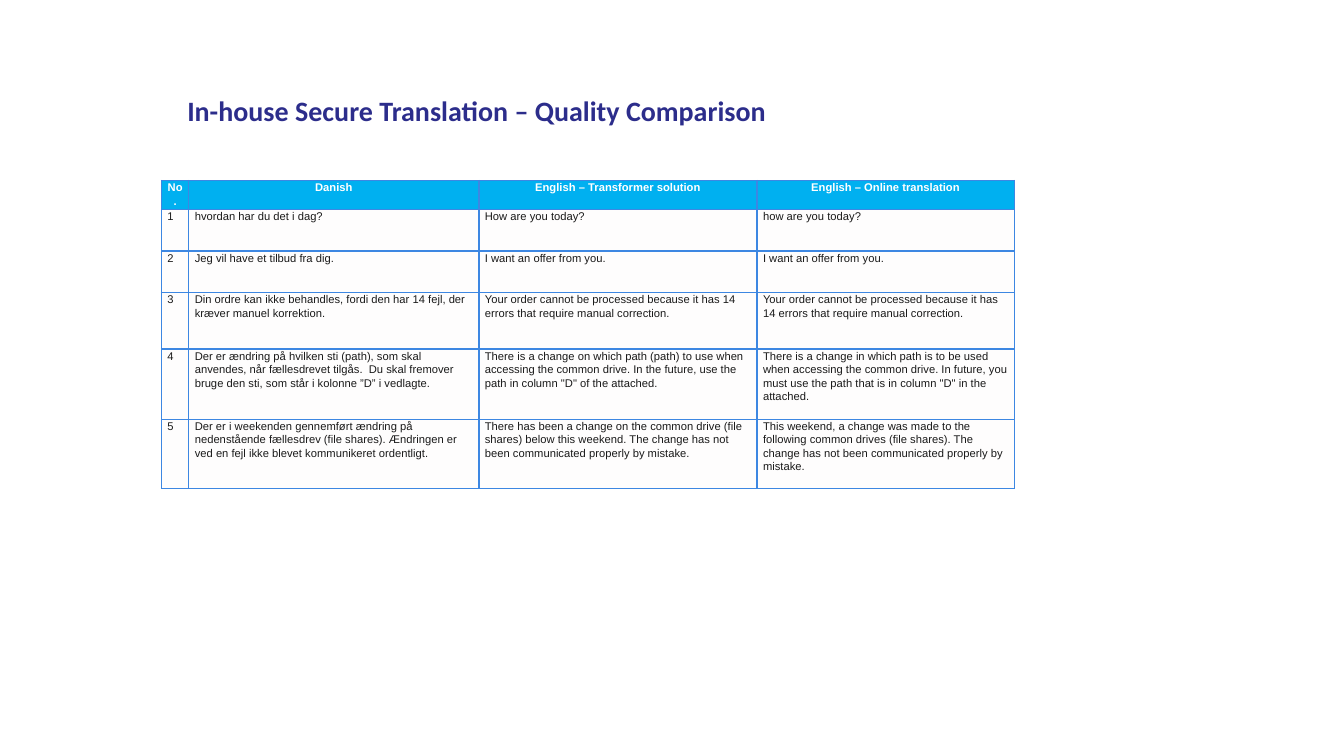
from dataclasses import dataclass

from lxml.etree import SubElement
from pptx import Presentation
from pptx.dml.color import RGBColor as RGB
from pptx.enum.text import PP_ALIGN as Align
from pptx.oxml.ns import qn
from pptx.util import Cm, Pt


@dataclass(frozen=True)
class Theme:
    title: str = "2C2D8B"
    header_fill: str = "00B0F0"
    header_text: str = "FFFFFF"
    body_fill: str = "FEFDFD"
    body_text: str = "1A1A1A"
    border: str = "3D87E2"
    title_font: str = "Calibri"
    table_font: str = "Arial"
    title_size: int = 20
    table_size: int = 8


def write(tf, text, *, font, size, color, bold=False, align=Align.LEFT,
          spacing=1.0, after=0):
    """Fill the first paragraph of a text frame with one formatted run."""
    p = tf.paragraphs[0]
    p.alignment, p.line_spacing, p.space_after = align, spacing, Pt(after)
    r = p.add_run()
    r.text = text
    r.font.name, r.font.size, r.font.bold = font, Pt(size), bold
    r.font.color.rgb = RGB.from_string(color)


class SlideBuilder:
    def __init__(self, slide, theme):
        self.s, self.theme = slide, theme

    def title(self, text, left, top, width, height):
        t = self.theme
        sp = self.s.shapes.add_textbox(Cm(left), Cm(top), Cm(width), Cm(height))
        tf = sp.text_frame
        tf.word_wrap = True
        tf.margin_left = tf.margin_right = tf.margin_top = tf.margin_bottom = 0
        write(tf, text, font=t.title_font, size=t.title_size,
              color=t.title, bold=True)

    def borders(self, cell, width=1):
        tc_pr = cell._tc.get_or_add_tcPr()
        for side in ("lnL", "lnR", "lnT", "lnB"):
            ln = SubElement(tc_pr, qn(f"a:{side}"), w=str(Pt(width)))
            fill = SubElement(ln, qn("a:solidFill"))
            SubElement(fill, qn("a:srgbClr"), val=self.theme.border)

    def cell(self, cell, text, header):
        t = self.theme
        cell.margin_left = cell.margin_right = Cm(0.15)
        cell.margin_top = cell.margin_bottom = 0
        self.borders(cell)
        cell.fill.solid()
        cell.fill.fore_color.rgb = RGB.from_string(
            t.header_fill if header else t.body_fill)
        write(cell.text_frame, text, font=t.table_font, size=t.table_size,
              color=t.header_text if header else t.body_text, bold=header,
              align=Align.CENTER if header else Align.LEFT,
              spacing=1.07, after=8)

    def table(self, rows, left, top, widths, heights):
        frame = self.s.shapes.add_table(
            len(rows), len(widths), Cm(left), Cm(top),
            Cm(sum(widths)), Cm(sum(heights)))
        tbl = frame.table
        tbl.horz_banding = False
        for column, width in zip(tbl.columns, widths):
            column.width = Cm(width)
        for i, (row, height) in enumerate(zip(rows, heights)):
            tbl.rows[i].height = Cm(height)
            for j, text in enumerate(row):
                self.cell(tbl.cell(i, j), text, header=i == 0)


HEADINGS = ("No.", "Danish", "English – Transformer solution",
            "English – Online translation")
# Danish sentence, Transformer output, online service output
SENTENCES = [
    ("hvordan har du det i dag?", "How are you today?", "how are you today?"),
    ("Jeg vil have et tilbud fra dig.", "I want an offer from you.",
     "I want an offer from you."),
    ("Din ordre kan ikke behandles, fordi den har 14 fejl, der kræver "
     "manuel korrektion.",
     "Your order cannot be processed because it has 14 errors that require "
     "manual correction.",
     "Your order cannot be processed because it has 14 errors that require "
     "manual correction."),
    ("Der er ændring på hvilken sti (path), som skal anvendes, når "
     "fællesdrevet tilgås. \u00a0Du skal fremover bruge den sti, som står i "
     "kolonne ”D” i vedlagte.",
     "There is a change on which path (path) to use when accessing the "
     "common drive. In the future, use the path in column \"D\" of the "
     "attached.",
     "There is a change in which path is to be used when accessing the "
     "common drive. In future, you must use the path that is in column "
     "\"D\" in the attached."),
    ("Der er i weekenden gennemført ændring på nedenstående fællesdrev "
     "(file shares). Ændringen er ved en fejl ikke blevet kommunikeret "
     "ordentligt.",
     "There has been a change on the common drive (file shares) below this "
     "weekend. The change has not been communicated properly by mistake.",
     "This weekend, a change was made to the following common drives (file "
     "shares). The change has not been communicated properly by mistake."),
]

prs = Presentation()
prs.slide_width, prs.slide_height = Cm(33.87), Cm(19.05)
s = SlideBuilder(prs.slides.add_slide(prs.slide_layouts[6]), Theme())

# Title
s.title("In-house Secure Translation – Quality Comparison",
        4.72, 2.36, 21.87, 0.86)

# Comparison table, with the sentences numbered from 1
numbered = [(str(n), *row) for n, row in enumerate(SENTENCES, 1)]
s.table([HEADINGS, *numbered], 4.07, 4.55,
        widths=(0.69, 7.31, 7.01, 6.48),
        heights=(0.72, 1.05, 1.05, 1.42, 1.77, 1.74))

prs.save("out.pptx")
